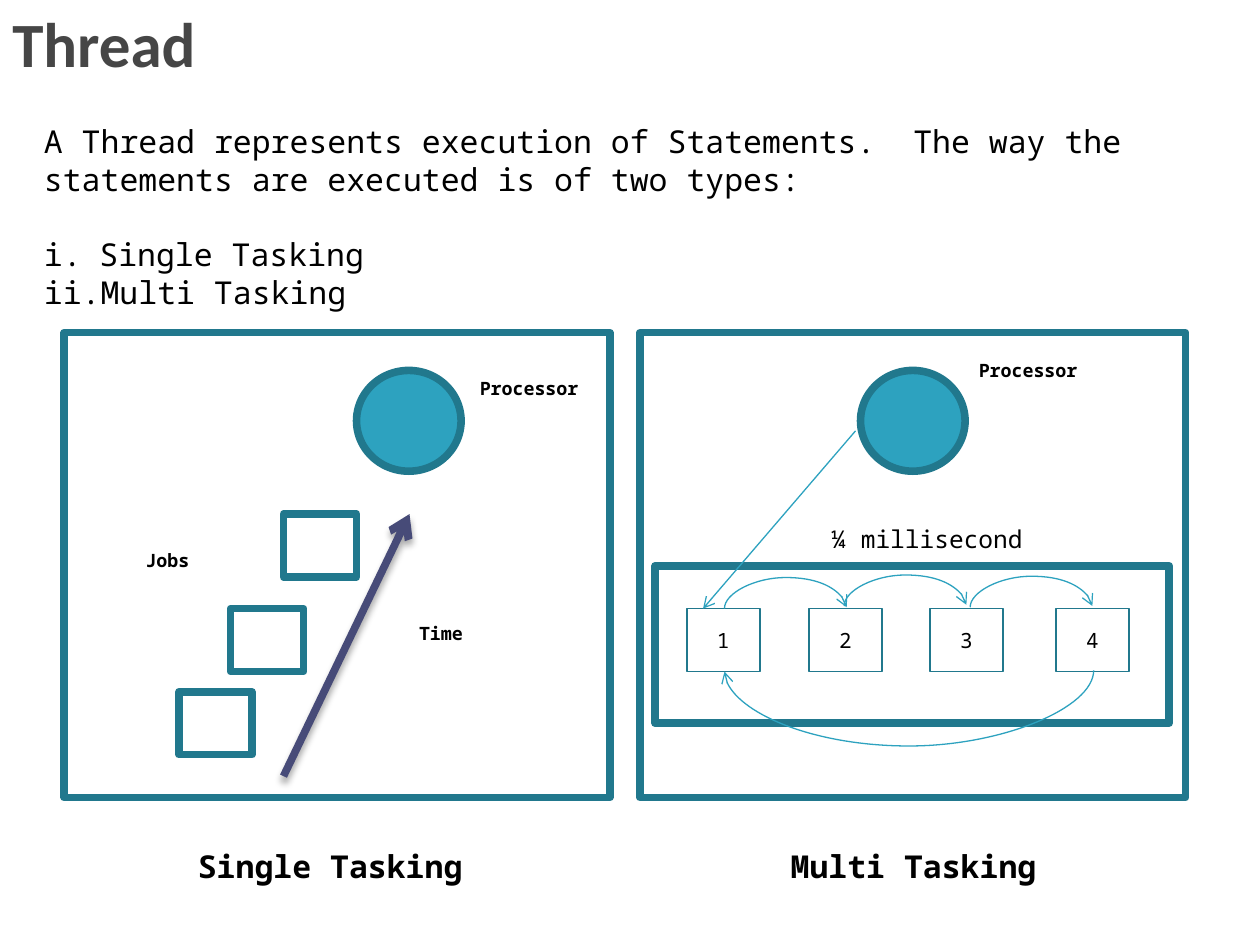
from dataclasses import dataclass

from lxml import etree
from pptx import Presentation
from pptx import util as u
from pptx.dml.color import RGBColor
from pptx.enum import shapes, text
from pptx.oxml import ns

BLACK = RGBColor(0x00, 0x00, 0x00)
GRAY = RGBColor(0x46, 0x46, 0x46)
TEAL = RGBColor(0x21, 0x78, 0x8D)
AQUA = RGBColor(0x2D, 0xA2, 0xBF)
INDIGO = RGBColor(0x47, 0x4B, 0x78)

BODY_FONT = "Noto Sans Mono"
THICK, THIN, HAIR = 4.33, 1, 0.75
JOB_SIZE = (0.58, 0.5)
PANEL_SIZE = (4.33, 3.69)
PROCESSOR_SIZE = (0.83, 0.8)
RECT, OVAL = shapes.MSO_SHAPE.RECTANGLE, shapes.MSO_SHAPE.OVAL
LEFT, CENTER = text.PP_ALIGN.LEFT, text.PP_ALIGN.CENTER


@dataclass
class Label:
    words: str
    left: float
    top: float
    width: float
    height: float
    size: float = 10.5
    bold: bool = True
    align: text.PP_ALIGN = LEFT
    color: RGBColor = BLACK
    font: str = BODY_FONT
    anchor: text.MSO_ANCHOR = text.MSO_ANCHOR.TOP


@dataclass
class Figure:
    left: float
    top: float
    size: tuple[float, float]
    kind: shapes.MSO_SHAPE = RECT
    line: float = THICK
    fill: RGBColor | None = None
    words: str = ""


@dataclass
class Loop:
    """A curved arrow that rises (or sinks, if negative) from y between two x."""
    start: float
    end: float
    y: float
    rise: float


LABELS = [
    Label("Thread", 0, 0, 7, 0.67, 36, color=GRAY, font="Calibri",
          anchor=text.MSO_ANCHOR.MIDDLE),
    Label("Processor", 3.71, 2.94, 1, 0.28),
    Label("Jobs", 0.83, 4.31, 1, 0.28, align=CENTER),
    Label("Time", 3, 4.89, 1, 0.28, align=CENTER),
    Label("Single Tasking", 0.83, 6.67, 3.58, 0.4, 18, align=CENTER),
    Label("Multi Tasking", 5.46, 6.67, 3.58, 0.4, 18, align=CENTER),
    Label("Processor", 7.67, 2.8, 1, 0.28),
    Label("¼ millisecond", 6.5, 4.11, 1.88, 0.34, 14, bold=False),
]
INTRO = Label("A Thread represents execution of Statements.  The way the statements "
              "are executed is of two types:", 0.25, 0.92, 8.92, 1.62, 18, bold=False)
TASK_TYPES = ["Single Tasking", "Multi Tasking"]

FIGURES = [
    *(Figure(left, top, JOB_SIZE) for left, top in [(1.42, 5.49), (1.83, 4.83), (2.25, 4.08)]),
    *(Figure(left, 2.64, PANEL_SIZE) for left in (0.51, 5.08)),
    *(Figure(left, 2.94, PROCESSOR_SIZE, OVAL, fill=AQUA) for left in (2.83, 6.83)),
    Figure(5.2, 4.49, (4.08, 1.25)),
    *(Figure(left, 4.83, JOB_SIZE, line=THIN, words=str(number))
      for number, left in enumerate((5.45, 6.42, 7.38, 8.38), 1)),
]
LOOPS = [
    Loop(5.75, 6.72, 4.83, 0.25),
    Loop(6.7, 7.67, 4.81, 0.25),
    Loop(7.7, 8.67, 4.82, 0.25),
    Loop(8.68, 5.75, 5.32, -0.61),
]


def add_span(para, words: str, **formats):
    span = para.add_run()
    span.text = words
    color = formats.pop("color", BLACK)
    for name, value in {"name": BODY_FONT, **formats}.items():
        setattr(span.font, name, value)
    span.font.color.rgb = color


def add_label(page, label: Label):
    box = page.shapes.add_textbox(*map(u.Inches, (label.left, label.top,
                                                  label.width, label.height)))
    frame = box.text_frame
    frame.word_wrap = True
    frame.vertical_anchor = label.anchor
    para = frame.paragraphs[0]
    para.alignment = label.align
    add_span(para, label.words, size=u.Pt(label.size), bold=label.bold,
             name=label.font, color=label.color)
    return frame


def add_task_types(frame):
    """Append the list with roman numerals."""
    for index, words in enumerate(TASK_TYPES):
        para = frame.add_paragraph()
        para.space_before = u.Pt(0 if index else 21.5)
        props = para._p.get_or_add_pPr()
        props.set("marL", str(u.Inches(0.44)))
        props.set("indent", str(u.Inches(-0.44)))
        etree.SubElement(props, ns.qn("a:buFont"), typeface="+mj-lt")
        etree.SubElement(props, ns.qn("a:buAutoNum"), type="romanLcPeriod")
        add_span(para, words, size=u.Pt(18))


def add_figure(page, figure: Figure):
    box = page.shapes.add_shape(figure.kind, *map(u.Inches, (figure.left, figure.top,
                                                             *figure.size)))
    box.shadow.inherit = False
    if figure.fill is None:
        box.fill.background()
    else:
        box.fill.solid()
        box.fill.fore_color.rgb = figure.fill
    box.line.color.rgb = TEAL
    box.line.width = u.Pt(figure.line)
    if figure.words:
        box.text_frame.vertical_anchor = text.MSO_ANCHOR.MIDDLE
        para = box.text_frame.paragraphs[0]
        para.alignment = CENTER
        add_span(para, figure.words, size=u.Pt(12))


def add_arrow(page, start: tuple[float, float], end: tuple[float, float],
              color: RGBColor = AQUA, width: float = HAIR, shadow: bool = False,
              kind: shapes.MSO_CONNECTOR = shapes.MSO_CONNECTOR.STRAIGHT):
    arrow = page.shapes.add_connector(kind, *map(u.Inches, (*start, *end)))
    arrow.line.color.rgb = color
    arrow.line.width = u.Pt(width)
    etree.SubElement(arrow.line._get_or_add_ln(), ns.qn("a:tailEnd"), type="arrow")
    effects = etree.SubElement(arrow._element.spPr, ns.qn("a:effectLst"))
    if shadow:
        outer = etree.SubElement(effects, ns.qn("a:outerShdw"), blurRad=str(u.Pt(4)),
                                 dist=str(u.Pt(3)), dir="5400000", rotWithShape="0")
        tint = etree.SubElement(outer, ns.qn("a:srgbClr"), val="000000")
        etree.SubElement(tint, ns.qn("a:alpha"), val="35000")
    return arrow


def add_loop(page, loop: Loop):
    """Draw a thin S-connector turned by 90 degrees, bulging far beyond its ends."""
    thin = 0.01
    way = 1 if loop.rise > 0 else -1
    middle_x = (loop.start + loop.end) / 2
    middle_y = loop.y - way * thin / 2
    across, along = way * thin / 2, (loop.end - loop.start) / 2
    arrow = add_arrow(page, (middle_x + across, middle_y + along),
                      (middle_x - across, middle_y - along),
                      kind=shapes.MSO_CONNECTOR.CURVE)
    props = arrow._element.spPr
    props.find(ns.qn("a:xfrm")).set("rot", "5400000")
    guides = props.find(ns.qn("a:prstGeom")).find(ns.qn("a:avLst"))
    bulge = round(abs(loop.rise) / thin * 100000)
    etree.SubElement(guides, ns.qn("a:gd"), name="adj1", fmla=f"val {bulge}")


def main():
    deck = Presentation()
    deck.slide_width, deck.slide_height = u.Inches(10), u.Inches(7.5)
    page = deck.slides.add_slide(deck.slide_layouts[6])
    for figure in FIGURES:
        add_figure(page, figure)
    add_arrow(page, (2.25, 6.16), (3.25, 4.08), INDIGO, THICK, shadow=True)
    for loop in LOOPS:
        add_loop(page, loop)
    add_arrow(page, (6.79, 3.42), (5.58, 4.83))
    for label in LABELS:
        add_label(page, label)
    add_task_types(add_label(page, INTRO))
    deck.save("out.pptx")


if __name__ == "__main__":
    main()
